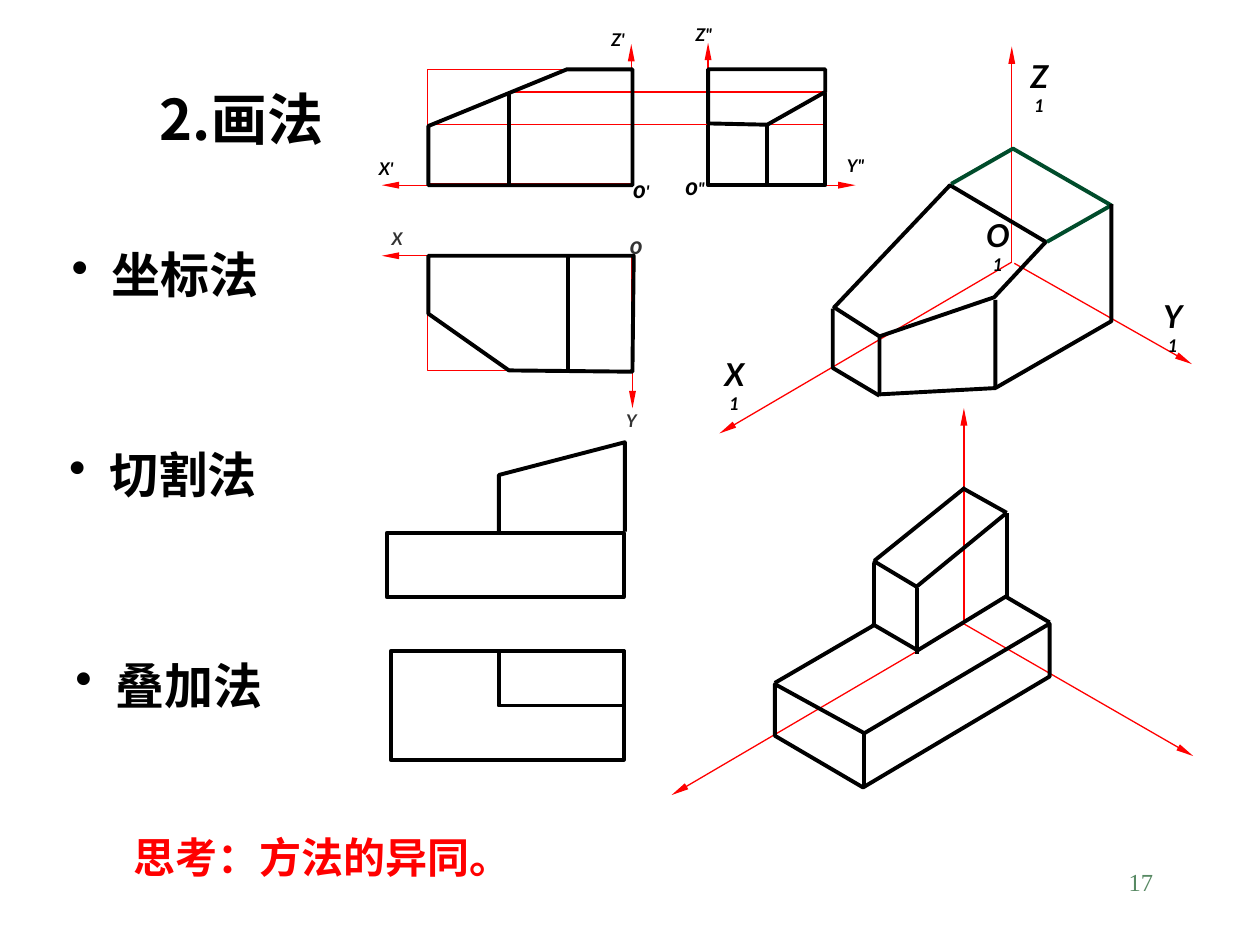
import pptx
import pptx.dml.color
import pptx.enum.shapes
import pptx.enum.text
import pptx.oxml
import pptx.oxml.ns
import pptx.util

COLUMNS, ROWS = 100, 75
CELL = pptx.util.Inches(10) / COLUMNS
BLACK = pptx.dml.color.RGBColor(0x00, 0x00, 0x00)
GREY = pptx.dml.color.RGBColor(0x33, 0x33, 0x33)
RED = pptx.dml.color.RGBColor(0xFF, 0x00, 0x00)
GREEN = pptx.dml.color.RGBColor(0x00, 0x4C, 0x2B)
SAGE = pptx.dml.color.RGBColor(0x57, 0x89, 0x63)
THIN, THICK = 0.75, 2.25
HAN, LATIN, SERIF = "Noto Sans CJK SC", "Lato", "Times New Roman"
LEFT, CENTER, RIGHT = (pptx.enum.text.PP_ALIGN.LEFT, pptx.enum.text.PP_ALIGN.CENTER,
                       pptx.enum.text.PP_ALIGN.RIGHT)

BOUNDS = [(33.9, 20.3, 16.2, 9.1), (33.9, 5.5, 16.2, 9.1)]
PROJECTIONS = [((34, 9.9), (65.5, 9.9)), ((40.3, 7.3), (65.3, 7.3))]
AXES = [
    ((80.3, 20.8), (80.3, 3.7)), ((80.3, 20.8), (57.1, 34.4)), ((80.5, 20.9), (94.6, 28.9)),
    ((50.2, 14.7), (30.3, 14.7)), ((50.1, 14.6), (50.1, 3.5)),
    ((50.2, 20.3), (30.3, 20.3)), ((50.2, 20.3), (50.2, 32.4)),
    ((56.3, 14.7), (67.9, 14.7)), ((56.2, 14.4), (56.2, 3.4)),
    ((76.5, 49.5), (53.3, 63.1)), ((76.5, 49.5), (76.5, 32.4)), ((76.3, 49.4), (94.7, 60)),
]
CUT_SOLID = [
    ([(75.4, 14.7), (66.2, 24.4), (69.8, 26.7), (78.9, 23.6), (83, 19.2)], True, BLACK),
    ([(69.8, 26.8), (69.8, 31.3), (79, 30.8), (79, 23.8)], False, BLACK),
    ([(66.1, 24.5), (66.1, 29.2), (69.8, 31.4)], False, BLACK),
    ([(75.5, 14.6), (80.4, 11.8), (88.2, 16.3), (83.1, 19.2)], False, GREEN),
    ([(88.2, 16.2), (88.2, 25.5), (79, 30.8)], False, BLACK),
]
VIEWS = [
    ([(45, 5.5), (50.2, 5.5), (50.2, 14.7), (34, 14.7), (34, 10)], True, BLACK),
    ([(60.9, 9.9), (65.5, 7.3), (65.5, 5.5), (56.2, 5.5), (56.2, 9.8)], True, BLACK),
    ([(61, 14.7), (56.2, 14.7), (56.2, 9.9)], False, BLACK),
    ([(65.5, 7.4), (65.5, 14.7), (60.9, 14.7), (60.9, 9.9)], False, BLACK),
    ([(40.4, 29.4), (34, 24.9), (34, 20.3), (50.3, 20.3), (50.2, 29.5)], True, BLACK),
    ([(49.6, 42.2), (49.6, 35.1), (39.6, 37.7), (39.6, 42.3)], False, BLACK),
]
BASE = [([(61.5, 54.3), (61.5, 58.4), (68.5, 62.5), (83.3, 53.7), (83.3, 49.5), (68.6, 58.2)],
         True, BLACK)]
VIEW_EDGES = [((40.4, 7.3), (40.4, 14.7)), ((45.1, 29.5), (45.1, 20.3))]
BASE_EDGES = [((69.4, 49.6), (61.5, 54.2)), ((68.6, 58.2), (68.6, 62.5)),
              ((79.9, 47.4), (83.3, 49.4))]
WEDGE_EDGES = [
    ((72.7, 51.7), (79.9, 47.3)), ((69.2, 49.5), (72.8, 51.6)), ((79.9, 47.4), (79.9, 40.7)),
    ((72.8, 51.9), (72.8, 46.7)), ((69.3, 44.5), (72.8, 46.6)), ((79.9, 40.7), (72.7, 46.6)),
    ((76.6, 38.7), (69.4, 44.5)), ((69.4, 49.6), (69.4, 44.7)), ((76.5, 38.8), (79.9, 40.7)),
]
STACKED_VIEWS = [(30.7, 42.3, 18.8, 5.1), (31, 51.7, 18.5, 8.6), (39.6, 51.7, 9.9, 4.3)]
SPACE_LABELS = [("O", 77.2, 17.5), ("X", 56.3, 28.5), ("Y", 91.1, 23.9), ("Z", 80.5, 4.9)]
AXIS_LABELS = [("X'", 28.8, 12, 3.7, BLACK), ("Z'", 47.2, 1.8, 3.7, BLACK),
               ("X", 30.1, 17.6, 2.8, GREY), ("Y", 48.7, 32, 2.8, GREY),
               ('Y"', 66.2, 11.8, 3.4, BLACK), ('Z"', 54.2, 1.4, 3.3, BLACK)]
ORIGINS = [("'", 49.1, 13.3, 3.6, BLACK), ("", 49, 17.8, 2.9, GREY), ('"', 53.2, 13.1, 3.9, BLACK)]
METHODS = [("坐标法", 4.7, 18.9), ("切割法", 4.5, 34.8), ("叠加法", 5, 51.5)]


def cells(*values):
    """Turn grid cells into slide lengths."""
    return [pptx.util.Emu(round(value * CELL)) for value in values]


def style_line(shape, color, width):
    """Set the colour and width of a line."""
    shape.line.color.rgb = color
    shape.line.width = pptx.util.Pt(width)


def add_edge(page, start, end, color, width, arrow=False):
    """Draw a straight line, with an arrowhead for an axis."""
    edge = page.shapes.add_connector(pptx.enum.shapes.MSO_CONNECTOR.STRAIGHT,
                                     *cells(*start, *end))
    style_line(edge, color, width)
    properties = edge._element.spPr
    if arrow:
        head = pptx.oxml.parse_xml(
            f'<a:tailEnd {pptx.oxml.ns.nsdecls("a")} type="triangle" w="sm" len="lg"/>')
        edge.line._get_or_add_ln().append(head)
    properties.append(pptx.oxml.parse_xml(f'<a:effectLst {pptx.oxml.ns.nsdecls("a")}/>'))


def add_outline(page, points, closed, color):
    """Draw an unfilled thick outline through the points."""
    corners = [cells(*point) for point in points]
    builder = page.shapes.build_freeform(*corners[0])
    builder.add_line_segments(corners[1:], close=closed)
    outline = builder.convert_to_shape()
    outline.shadow.inherit = False
    outline.fill.background()
    style_line(outline, color, THICK)


def add_frame(page, place, color, width):
    """Draw an unfilled rectangle."""
    frame = page.shapes.add_shape(pptx.enum.shapes.MSO_SHAPE.RECTANGLE, *cells(*place))
    frame.shadow.inherit = False
    frame.fill.background()
    style_line(frame, color, width)


def add_text(page, place, spans, font, color, align=LEFT, wrap=True, italic=False,
             bold=True, middle=True, bullet=False):
    """Write one paragraph of (text, size) spans."""
    frame = page.shapes.add_textbox(*cells(*place)).text_frame
    frame.word_wrap = wrap
    if middle:
        frame.vertical_anchor = pptx.enum.text.MSO_ANCHOR.MIDDLE
    para = frame.paragraphs[0]
    para.alignment = align
    if bullet:
        properties = para._p.get_or_add_pPr()
        indent = cells(3.2)[0]
        properties.set("marL", str(indent))
        properties.set("indent", str(-indent))
        properties.append(pptx.oxml.parse_xml(
            f'<a:buChar {pptx.oxml.ns.nsdecls("a")} char="•"/>'))
    para.font.name = font
    para.font.bold = bold
    para.font.italic = italic
    para.font.color.rgb = color
    for text, size in spans:
        span = para.add_run()
        span.text = text
        span.font.size = pptx.util.Pt(size)
        if font == HAN:
            span._r.get_or_add_rPr().append(pptx.oxml.parse_xml(
                f'<a:ea {pptx.oxml.ns.nsdecls("a")} typeface="{HAN}"/>'))


def add_drawings(page):
    """Draw the axes, the views and the two solids."""
    for place in BOUNDS:
        add_frame(page, place, RED, THIN)
    for start, end in PROJECTIONS:
        add_edge(page, start, end, RED, THIN)
    for start, end in AXES:
        add_edge(page, start, end, RED, THIN, arrow=True)
    for points, closed, color in CUT_SOLID + VIEWS + BASE:
        add_outline(page, points, closed, color)
    for start, end in VIEW_EDGES + BASE_EDGES + WEDGE_EDGES:
        add_edge(page, start, end, BLACK, THICK)
    for place in STACKED_VIEWS:
        add_frame(page, place, BLACK, THICK)


def add_labels(page):
    """Name the axes and origins."""
    for letter, left, top in SPACE_LABELS:
        add_text(page, (left, top, 4, 4), [(letter, 18), ("1", 10)], LATIN, BLACK,
                 CENTER, italic=True)
    for text, left, top, width, color in AXIS_LABELS:
        add_text(page, (left, top, width, 2.7), [(text, 10)], LATIN, color,
                 CENTER, wrap=False, italic=True)
    for mark, left, top, width, color in ORIGINS:
        spans = [("o", 14), (mark, 10)] if mark else [("o", 14)]
        add_text(page, (left, top, width, 3.3), spans, LATIN, color,
                 CENTER, wrap=False, italic=True)


def main():
    """Build and save the slide."""
    deck = pptx.Presentation()
    deck.slide_width, deck.slide_height = cells(COLUMNS, ROWS)
    page = deck.slides.add_slide(deck.slide_layouts[6])
    add_text(page, (11.7, 6.2, 88.3, 6.3), [("2.画法", 32)], HAN, BLACK)
    for text, left, top in METHODS:
        add_text(page, (left, top, 95, 5.7), [(text, 28)], HAN, BLACK, bullet=True)
    add_drawings(page)
    add_labels(page)
    add_text(page, (9.6, 65.5, 38.7, 5), [("思考：方法的异同。", 24)], HAN, RED)
    add_text(page, (71.7, 68.3, 20.8, 5), [("17", 14)], SERIF, SAGE, RIGHT,
             bold=False, middle=False)
    deck.save("out.pptx")


if __name__ == "__main__":
    main()
